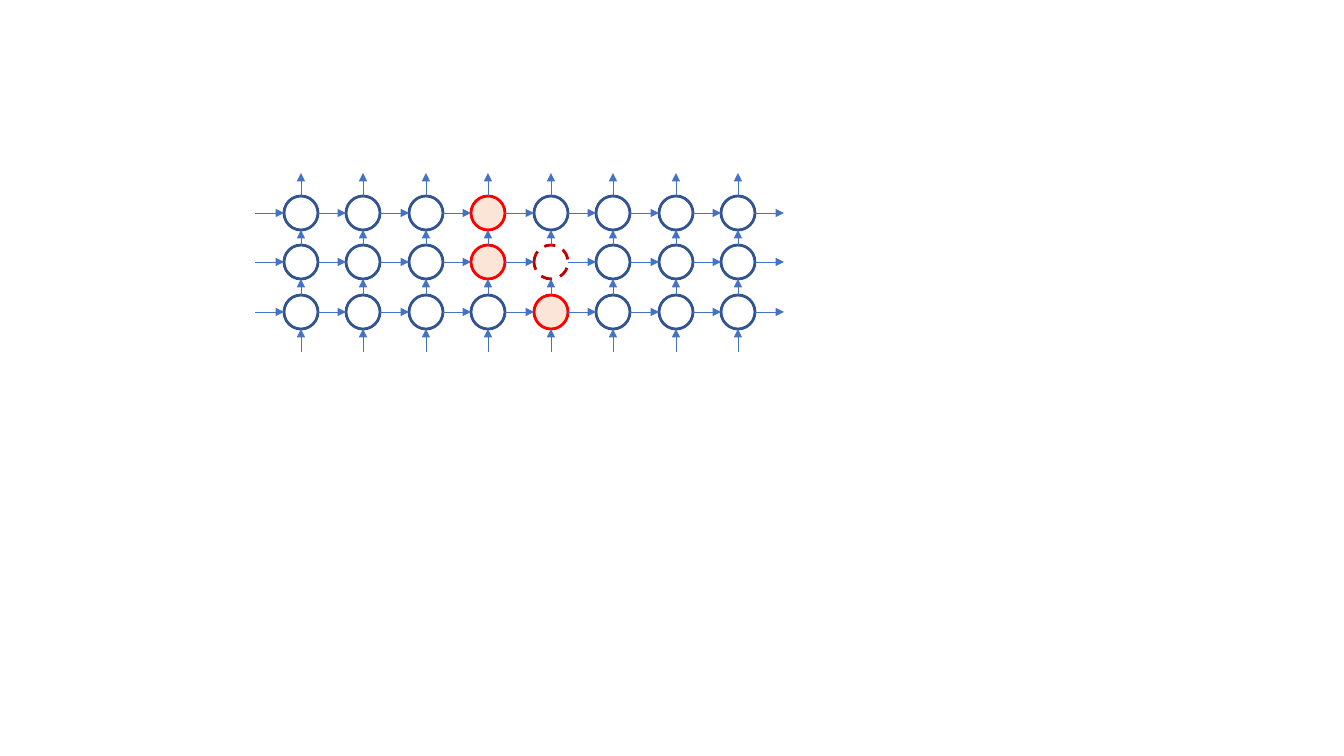
"""Draw a 3 x 8 lattice of linked nodes with three active nodes and one target node."""
from dataclasses import dataclass
from itertools import product

from lxml.etree import SubElement
from pptx import Presentation
from pptx.dml.color import RGBColor as RGB
from pptx.enum.dml import MSO_LINE_DASH_STYLE as Dash
from pptx.enum.shapes import MSO_CONNECTOR as Conn, MSO_SHAPE as Shape
from pptx.oxml.ns import qn
from pptx.util import Emu, Pt


@dataclass(frozen=True)
class Theme:
    node: RGB = RGB.from_string("325491")
    active: RGB = RGB.from_string("FF0000")
    active_fill: RGB = RGB.from_string("FBE5D6")
    target: RGB = RGB.from_string("C00000")
    arrow: RGB = RGB.from_string("4472C4")
    node_width: Pt = Pt(2)
    arrow_width: Pt = Pt(0.5)


class Deck:
    """Holds the theme and the current slide."""

    SCALE = 914400 / 100.8

    def __init__(self, theme, width, height):
        self.theme = theme
        self.prs = Presentation()
        self.prs.slide_width, self.prs.slide_height = self.px(width, height)
        self.s = self.prs.slides.add_slide(self.prs.slide_layouts[6])

    def px(self, *lengths):
        """Turn px lengths into EMU."""
        return [Emu(round(n * self.SCALE)) for n in lengths]

    def style_line(self, line, color, **formats):
        """Give a line its colour and other format values."""
        line.color.rgb = color
        for name, value in formats.items():
            setattr(line, name, value)

    def circle(self, x, y, size, color, fill=None, dash=None):
        """Add a node with its top left corner at x, y."""
        sp = self.s.shapes.add_shape(Shape.OVAL, *self.px(x, y, size, size))
        sp.shadow.inherit = False
        if fill is None:
            sp.fill.background()
        else:
            sp.fill.solid()
            sp.fill.fore_color.rgb = fill
        self.style_line(sp.line, color, width=self.theme.node_width, dash_style=dash)

    def arrow(self, x1, y1, x2, y2):
        """Add a thin arrow that points to x2, y2."""
        cxn = self.s.shapes.add_connector(Conn.STRAIGHT, *self.px(x1, y1, x2, y2))
        self.style_line(cxn.line, self.theme.arrow, width=self.theme.arrow_width)
        SubElement(cxn.line._get_or_add_ln(), qn("a:tailEnd"), type="triangle")
        SubElement(cxn._element.spPr, qn("a:effectLst"))


def main():
    theme = Theme()
    deck = Deck(theme, 1344, 756)
    size = 34
    lefts = [284 + 125 * i // 2 for i in range(8)]
    tops = [196, 245, 295]
    active = {(0, 3), (1, 3), (2, 4)}
    target = (1, 4)

    for row, col in product(range(len(tops)), range(len(lefts))):
        look = {"color": theme.node}
        if (row, col) in active:
            look = {"color": theme.active, "fill": theme.active_fill}
        elif (row, col) == target:
            look = {"color": theme.target, "dash": Dash.DASH}
        deck.circle(lefts[col], tops[row], size, **look)

    starts = [255] + [x + size for x in lefts]
    ends = lefts + [784]
    for top, (start, end) in product(tops, zip(starts, ends)):
        y = top + size // 2
        deck.arrow(start, y, end, y)

    tails = tops + [352]
    heads = [173] + [y + size for y in tops]
    for left, (tail, head) in product(lefts, zip(tails, heads)):
        x = left + size // 2
        deck.arrow(x, tail, x, head)

    deck.prs.save("out.pptx")


if __name__ == "__main__":
    main()
